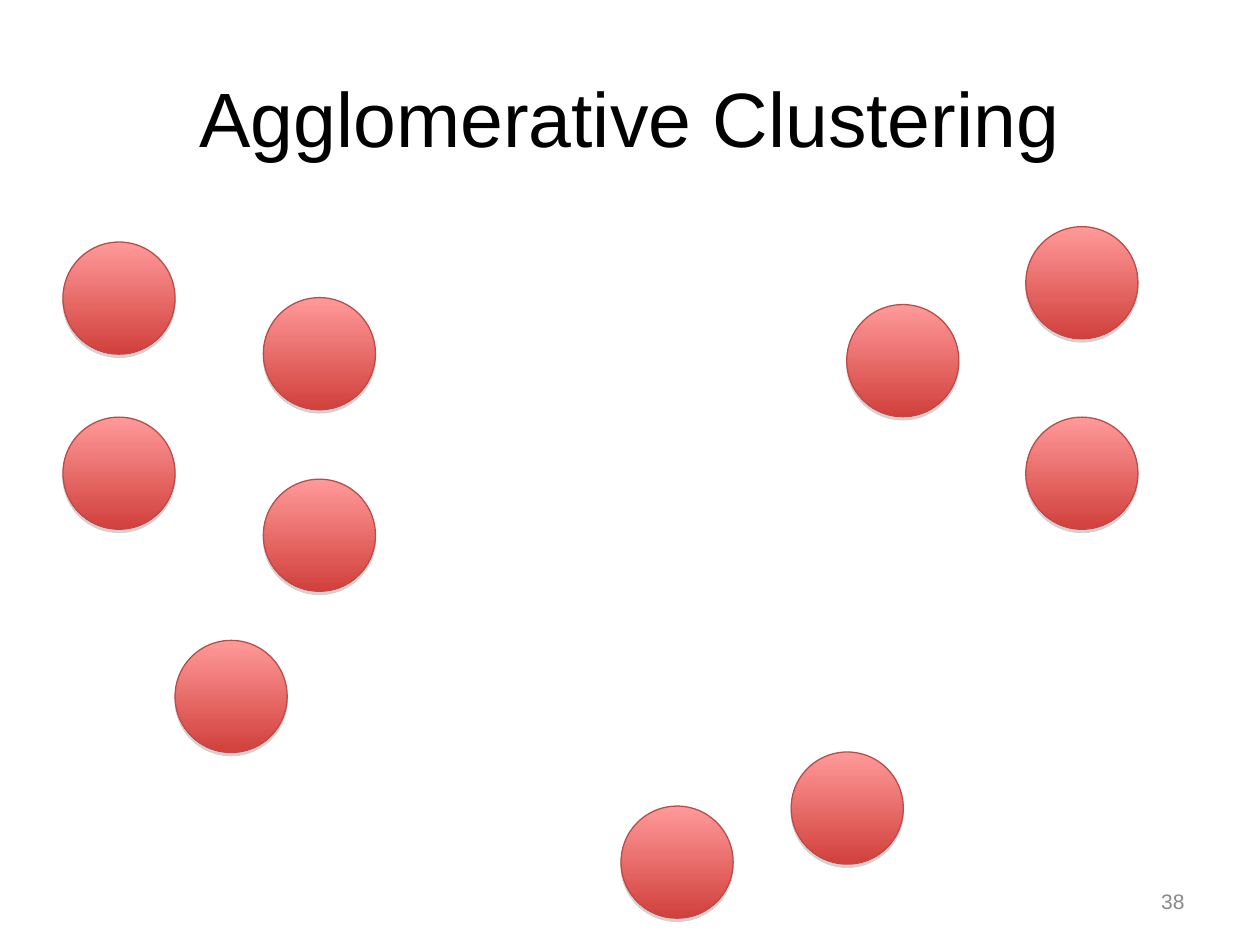
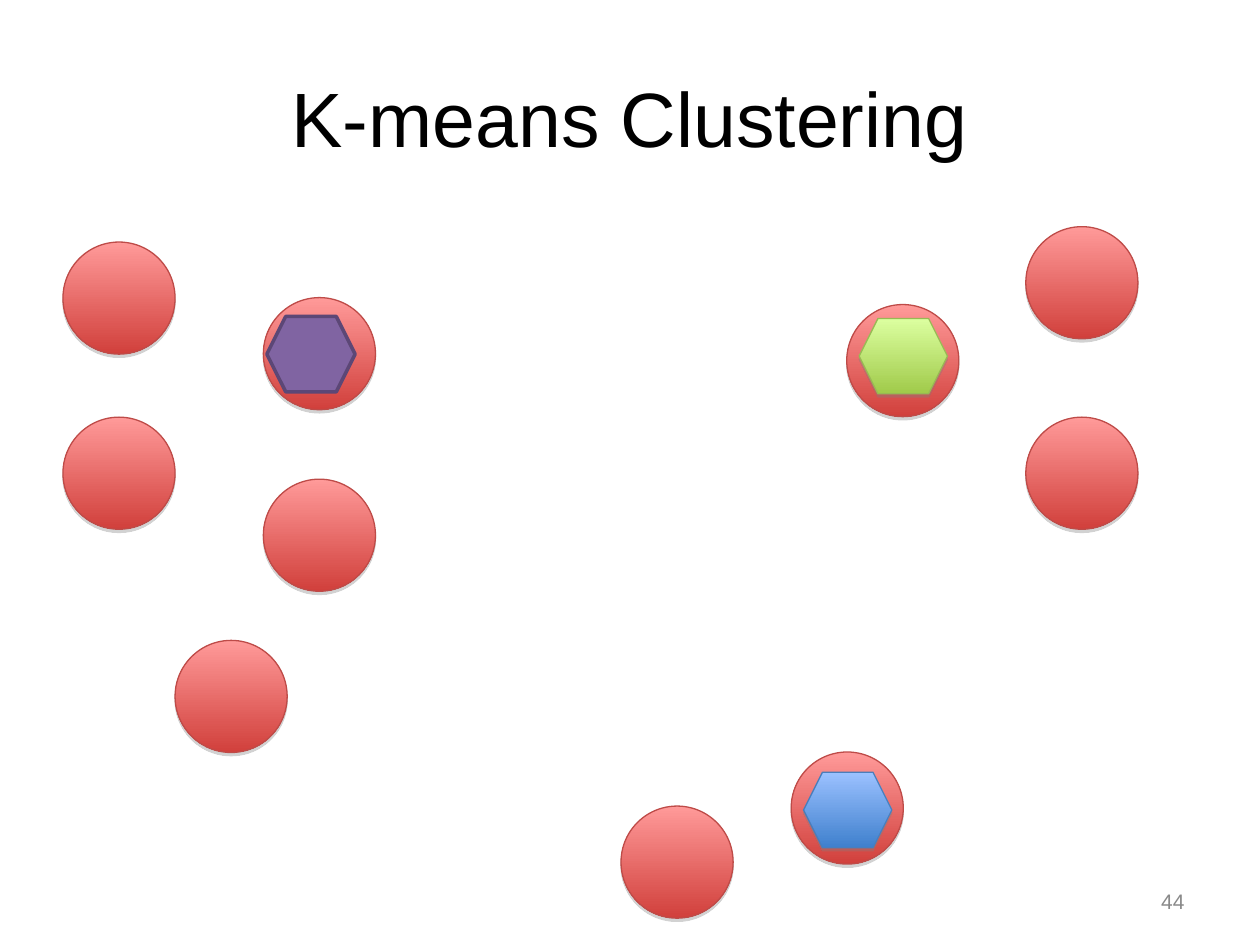
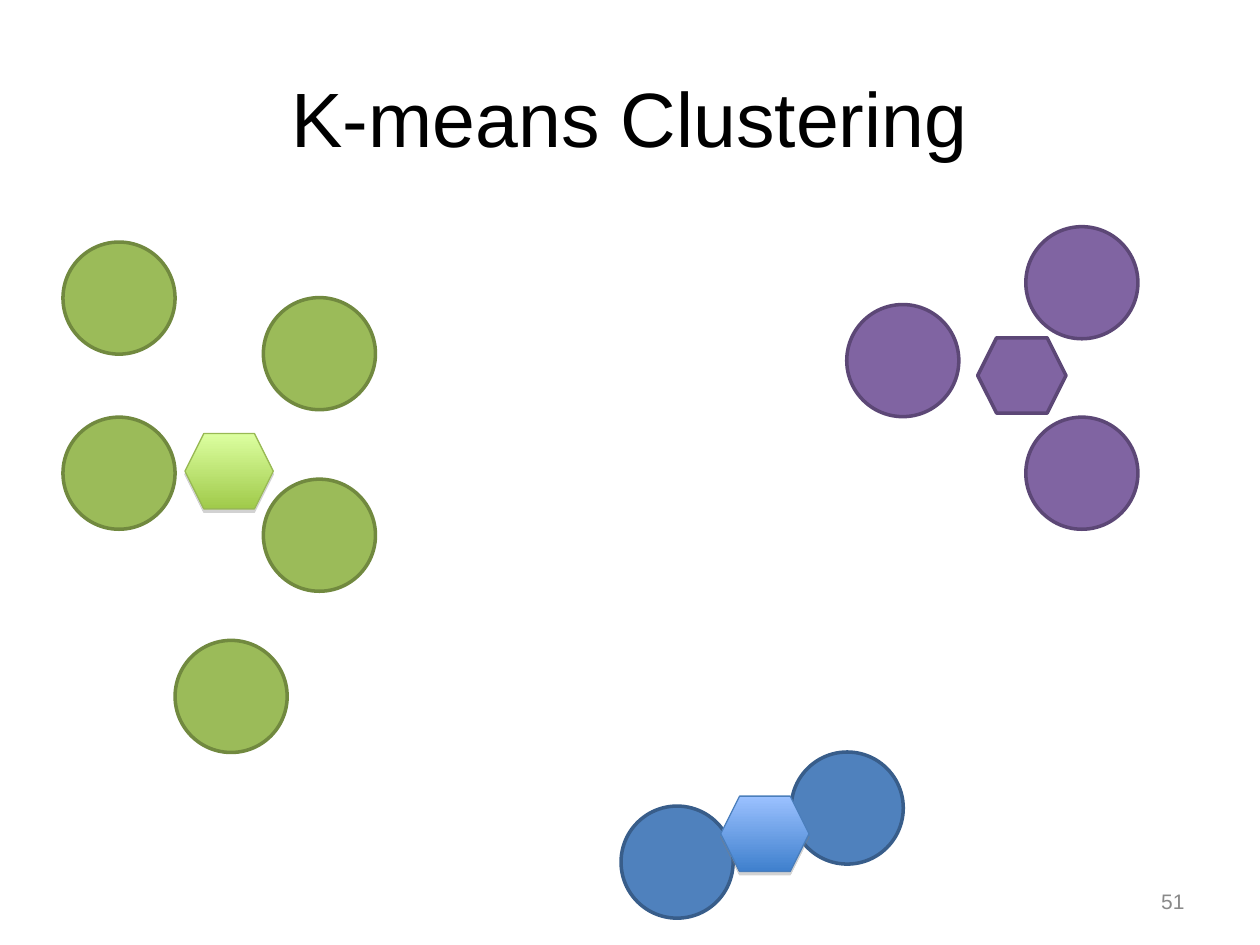
from dataclasses import dataclass

from lxml import etree
from pptx import Presentation
from pptx.dml.color import RGBColor
from pptx.enum.shapes import MSO_SHAPE
from pptx.enum.text import MSO_ANCHOR, PP_ALIGN
from pptx.oxml.ns import qn
from pptx.util import Cm, Pt

OVAL, HEX = MSO_SHAPE.OVAL, MSO_SHAPE.HEXAGON
MID = MSO_ANCHOR.MIDDLE
CENTER, RIGHT = PP_ALIGN.CENTER, PP_ALIGN.RIGHT


@dataclass(frozen=True)
class Paint:
    fill: tuple  # one colour is flat, two make a shaded fill with a shadow
    line: str
    width: float


@dataclass(frozen=True)
class Theme:
    font: str = "Arial"
    ink: str = "000000"
    gray: str = "898989"
    shade: str = "808080"
    head: int = 44
    note: int = 12
    red: Paint = Paint(("FF9A99", "D1403C"), "BE4B48", 0.75)
    lime: Paint = Paint(("DCFFA0", "A0CA4A"), "98B954", 0.75)
    sky: Paint = Paint(("9BC1FF", "3F80CD"), "4A7EBB", 0.75)
    green: Paint = Paint(("9BBB59",), "71893F", 2)
    plum: Paint = Paint(("8064A2",), "5C4776", 2)
    blue: Paint = Paint(("4F81BD",), "385D8A", 2)


THEME = Theme()

# Boxes and sizes in cm
TITLE = (1.27, 0.76, 22.86, 3.18)
NUMBER = (18.21, 17.65, 5.92, 1.02)
DOT = (2.26, 2.26)
SEED = (1.78, 1.52)

# Each cluster: corner of its box, then the dots relative to that corner
GROUPS = {
    "left": ((1.27, 4.88),
             [(0, 0), (0, 3.53), (4.04, 1.12), (2.26, 8.03), (4.04, 4.78)]),
    "right": ((17.07, 4.57), [(3.61, 0), (0, 1.57), (3.61, 3.84)]),
    "low": ((12.52, 15.16), [(3.43, 0), (0, 1.09)]),
}

# Each slide: title, number, dot paint by cluster, seeds as (cluster, offset, paint)
PLAIN = dict.fromkeys(GROUPS, THEME.red)
SLIDES = [
    ("Agglomerative Clustering", "38", PLAIN, []),
    ("K-means Clustering", "44", PLAIN,
     [("left", (4.11, 1.5), THEME.plum),
      ("right", (0.25, 1.85), THEME.lime),
      ("low", (3.68, 0.41), THEME.sky)]),
    ("K-means Clustering", "51",
     {"left": THEME.green, "right": THEME.plum, "low": THEME.blue},
     [("right", (2.64, 2.24), THEME.plum),
      ("left", (2.46, 3.86), THEME.lime),
      ("low", (2.01, 0.89), THEME.sky)]),
]


def color(code):
    return RGBColor.from_string(code)


def write(shape, box, text, size, ink, align):
    """Place a text shape and give it one formatted run."""
    shape.left, shape.top, shape.width, shape.height = map(Cm, box)
    frame = shape.text_frame
    frame.word_wrap = True
    frame.vertical_anchor = MID
    para = frame.paragraphs[0]
    para.alignment = align
    run = para.add_run()
    run.text = text
    run.font.name = THEME.font
    run.font.size = Pt(size)
    run.font.color.rgb = color(ink)


def drop(shape):
    """Put a soft gray shadow just below the shape."""
    effects = shape._element.spPr.find(qn("a:effectLst"))
    outer = etree.SubElement(effects, qn("a:outerShdw"), blurRad="0",
                             dist=str(Pt(1.8)), dir="5400000", rotWithShape="0")
    tint = etree.SubElement(outer, qn("a:srgbClr"), val=THEME.shade)
    etree.SubElement(tint, qn("a:alpha"), val="35000")


def mark(slide, kind, corner, shift, size, paint):
    """Draw a dot or seed at a shift from its cluster's corner."""
    left, top = (a + b for a, b in zip(corner, shift))
    shape = slide.shapes.add_shape(kind, *map(Cm, (left, top, *size)))
    shape.line.color.rgb = color(paint.line)
    shape.line.width = Pt(paint.width)
    shape.shadow.inherit = False
    if len(paint.fill) == 1:
        shape.fill.solid()
        shape.fill.fore_color.rgb = color(paint.fill[0])
        return
    shape.fill.gradient()
    shape.fill.gradient_angle = 270
    for stop, code in zip(shape.fill.gradient_stops, paint.fill):
        stop.color.rgb = color(code)
    drop(shape)


def cluster(slide, name, paint):
    corner, dots = GROUPS[name]
    for shift in dots:
        mark(slide, OVAL, corner, shift, DOT, paint)


def build(deck, title, number, paints, seeds):
    slide = deck.slides.add_slide(deck.slide_layouts[5])
    # Title and slide number
    write(slide.shapes.title, TITLE, title, THEME.head, THEME.ink, CENTER)
    note = slide.shapes.add_textbox(*map(Cm, NUMBER))
    write(note, NUMBER, number, THEME.note, THEME.gray, RIGHT)
    # Data dots, then the seeds on top
    for name, paint in paints.items():
        cluster(slide, name, paint)
    for name, shift, paint in seeds:
        mark(slide, HEX, GROUPS[name][0], shift, SEED, paint)


def main():
    deck = Presentation()
    deck.slide_width, deck.slide_height = Cm(25.4), Cm(19.05)
    for page in SLIDES:
        build(deck, *page)
    deck.save("out.pptx")


if __name__ == "__main__":
    main()
